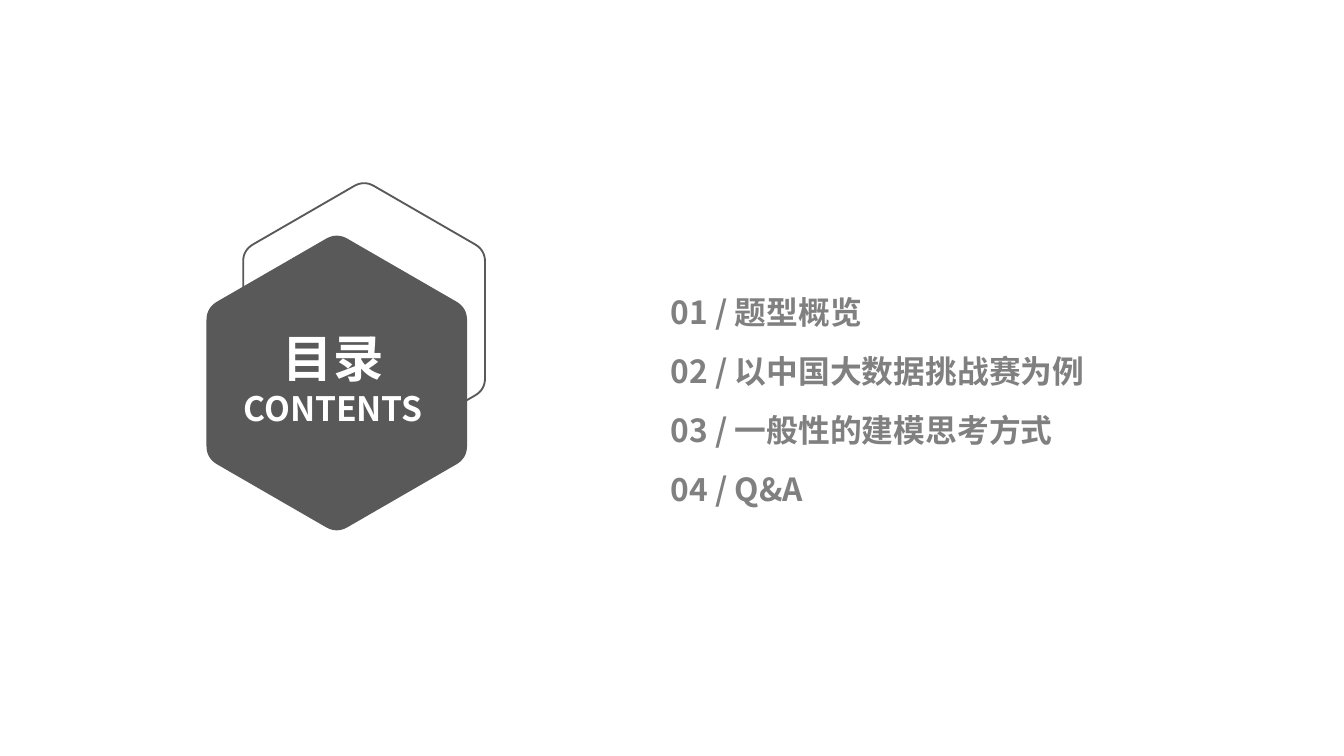
from dataclasses import dataclass
from math import cos, radians, sin

from lxml.etree import SubElement
from pptx import Presentation
from pptx.dml.color import RGBColor
from pptx.enum.text import MSO_AUTO_SIZE, PP_ALIGN
from pptx.oxml.ns import qn
from pptx.slide import Slide
from pptx.util import Pt

DARK = RGBColor(0x59, 0x59, 0x59)
GREY = RGBColor(0x80, 0x80, 0x80)
WHITE = RGBColor(0xFF, 0xFF, 0xFF)
FONT = "Noto Sans CJK SC"
CORNER_CUT = 0.0825  # share of the side length rounded off at each end
CURVE_STEPS = 8
ENTRY_TOP, ENTRY_PITCH = 154.1, 31.7


@dataclass
class Hexagon:
    center_x: float
    center_y: float
    side: float
    filled: bool


@dataclass
class Line:
    text: str
    size: float
    color: RGBColor


@dataclass
class TextArea:
    left: float
    top: float
    width: float
    height: float
    lines: list[Line]
    alignment: PP_ALIGN = PP_ALIGN.LEFT


def rounded_outline(hexagon: Hexagon) -> list[tuple[float, float]]:
    """Points of an upright regular hexagon with quadratic curves at its corners."""
    corners = [
        (hexagon.center_x + hexagon.side * sin(radians(angle)),
         hexagon.center_y - hexagon.side * cos(radians(angle)))
        for angle in range(0, 360, 60)
    ]
    points = []
    for index, corner in enumerate(corners):
        before, after = corners[index - 1], corners[(index + 1) % 6]
        for step in range(CURVE_STEPS + 1):
            share = step / CURVE_STEPS
            start_pull = CORNER_CUT * (1 - share) ** 2
            end_pull = CORNER_CUT * share ** 2
            points.append(tuple(
                middle + start_pull * (first - middle) + end_pull * (last - middle)
                for middle, first, last in zip(corner, before, after)
            ))
    return points


def draw_hexagon(page: Slide, hexagon: Hexagon) -> None:
    points = [(Pt(x), Pt(y)) for x, y in rounded_outline(hexagon)]
    builder = page.shapes.build_freeform(*points[0])
    builder.add_line_segments(points[1:], close=True)
    shape = builder.convert_to_shape()
    shape.shadow.inherit = False
    if hexagon.filled:
        shape.fill.solid()
        shape.fill.fore_color.rgb = DARK
        shape.line.fill.background()
    else:
        shape.fill.background()
        shape.line.color.rgb = DARK
        shape.line.width = Pt(1)


def draw_text(page: Slide, area: TextArea) -> None:
    box = page.shapes.add_textbox(
        Pt(area.left), Pt(area.top), Pt(area.width), Pt(area.height))
    frame = box.text_frame
    frame_format = {
        "word_wrap": True, "auto_size": MSO_AUTO_SIZE.SHAPE_TO_FIT_TEXT,
        "margin_left": Pt(5), "margin_right": Pt(5),
        "margin_top": Pt(2.7), "margin_bottom": Pt(2.7),
    }
    for name, value in frame_format.items():
        setattr(frame, name, value)
    for index, line in enumerate(area.lines):
        para = frame.add_paragraph() if index else frame.paragraphs[0]
        para.alignment = area.alignment
        span = para.add_run()
        span.text = line.text
        for name, value in {"name": FONT, "size": Pt(line.size), "bold": True}.items():
            setattr(span.font, name, value)
        span.font.color.rgb = line.color
        SubElement(span.font._element, qn("a:ea"), typeface=FONT)


def main() -> None:
    deck = Presentation()
    deck.slide_width, deck.slide_height = Pt(720), Pt(405)
    page = deck.slides.add_slide(deck.slide_layouts[6])

    draw_hexagon(page, Hexagon(195.1, 171.4, 74.8, filled=False))
    entries = [
        ("01 / 题型概览", 234.7, 25.9),
        ("02 / 以中国大数据挑战赛为例", 252, 25.9),
        ("03 / 一般性的建模思考方式", 247, 25.9),
        ("04 / Q&A", 203.8, 46.8),
    ]
    for index, (text, width, height) in enumerate(entries):
        draw_text(page, TextArea(
            354.2, ENTRY_TOP + index * ENTRY_PITCH, width, height,
            [Line(text, 17, GREY)]))
    draw_hexagon(page, Hexagon(180.4, 205.2, 80.6, filled=True))
    draw_text(page, TextArea(
        113, 172.8, 131, 59.8,
        [Line("目录", 27, WHITE), Line("CONTENTS", 18, WHITE)], PP_ALIGN.CENTER))
    deck.save("out.pptx")


if __name__ == "__main__":
    main()
